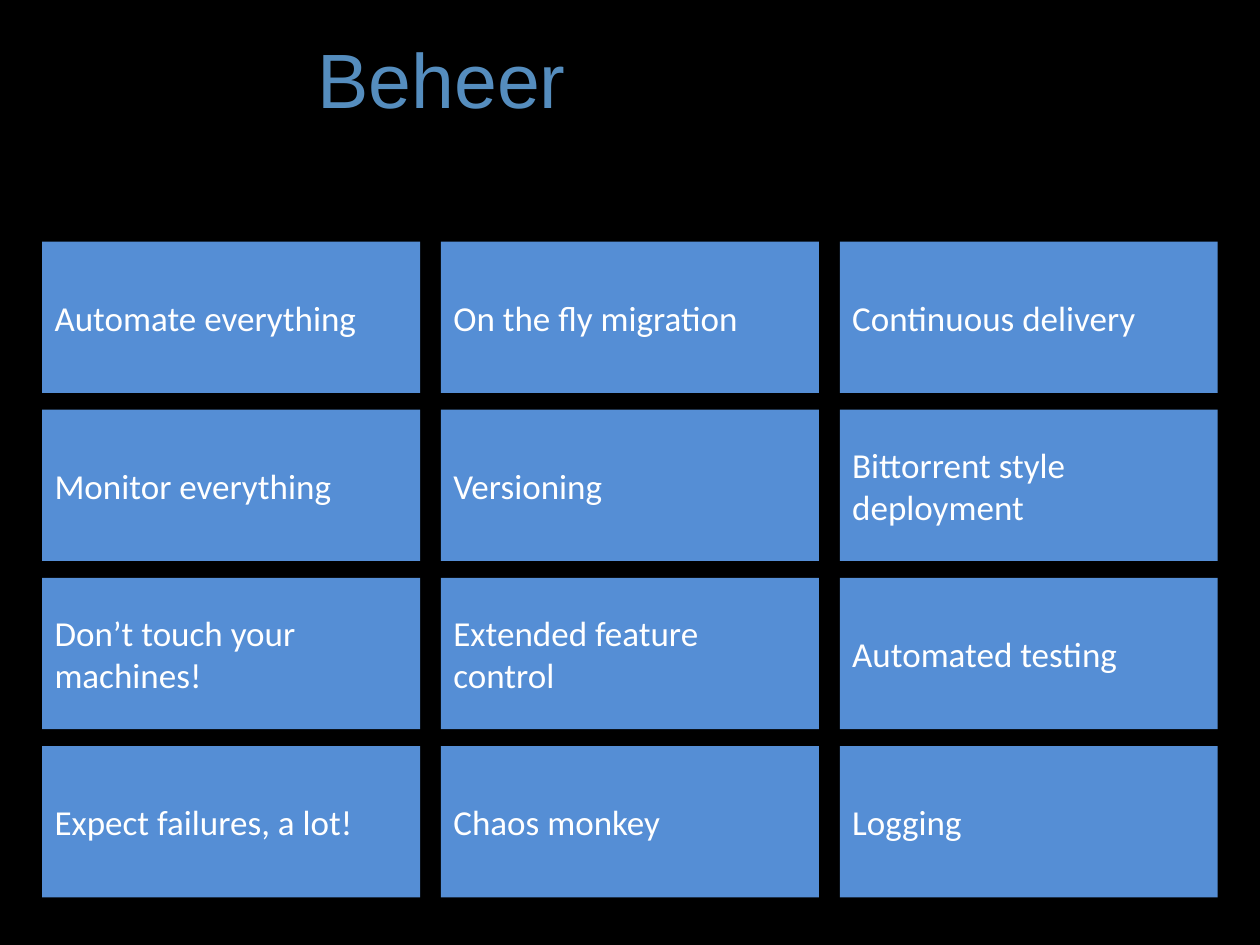
"""Build the Beheer slide: a title above a grid of operations practices."""
from pptx import Presentation
from pptx import util as u
from pptx.dml.color import RGBColor
from pptx.enum import shapes, text

TITLE = "Beheer"
PRACTICES = [
    ["Automate everything", "On the fly migration", "Continuous delivery"],
    ["Monitor everything", "Versioning", "Bittorrent style deployment"],
    ["Don’t touch your machines!", "Extended feature control", "Automated testing"],
    ["Expect failures, a lot!", "Chaos monkey", "Logging"],
]
LEFT, TOP = 0.85, 4.87
WIDTH, HEIGHT = 7.62, 3.05
COLUMN_STEP, ROW_STEP = 8.04, 3.39


def paint(target, color):
    target.solid()
    target.fore_color.rgb = RGBColor.from_string(color)


def write(box, words, font, size, color, anchor):
    frame = box.text_frame
    frame.word_wrap = True
    frame.vertical_anchor = anchor
    frame.text = words
    para = frame.paragraphs[0]
    para.alignment = text.PP_ALIGN.LEFT
    span = para.runs[0]
    span.font.name = font
    span.font.size = u.Pt(size)
    paint(span.font.fill, color)


def add_tile(page, words, column, row):
    tile = page.shapes.add_shape(
        shapes.MSO_SHAPE.RECTANGLE,
        u.Cm(LEFT + column * COLUMN_STEP), u.Cm(TOP + row * ROW_STEP),
        u.Cm(WIDTH), u.Cm(HEIGHT))
    tile.shadow.inherit = False
    tile.line.fill.background()
    paint(tile.fill, "558ED5")
    write(tile, words, "Calibri", 20, "FFFFFF", text.MSO_ANCHOR.MIDDLE)


def main():
    deck = Presentation()
    deck.slide_width, deck.slide_height = u.Cm(25.4), u.Cm(19.05)
    page = deck.slides.add_slide(deck.slide_layouts[6])
    paint(page.background.fill, "000000")
    title = page.shapes.add_textbox(u.Cm(6.15), u.Cm(0.51), u.Cm(17.98), u.Cm(2.97))
    write(title, TITLE, "Arial", 44, "558DBE", text.MSO_ANCHOR.TOP)
    for row, practices in enumerate(PRACTICES):
        for column, practice in enumerate(practices):
            add_tile(page, practice, column, row)
    deck.save("out.pptx")


if __name__ == "__main__":
    main()
